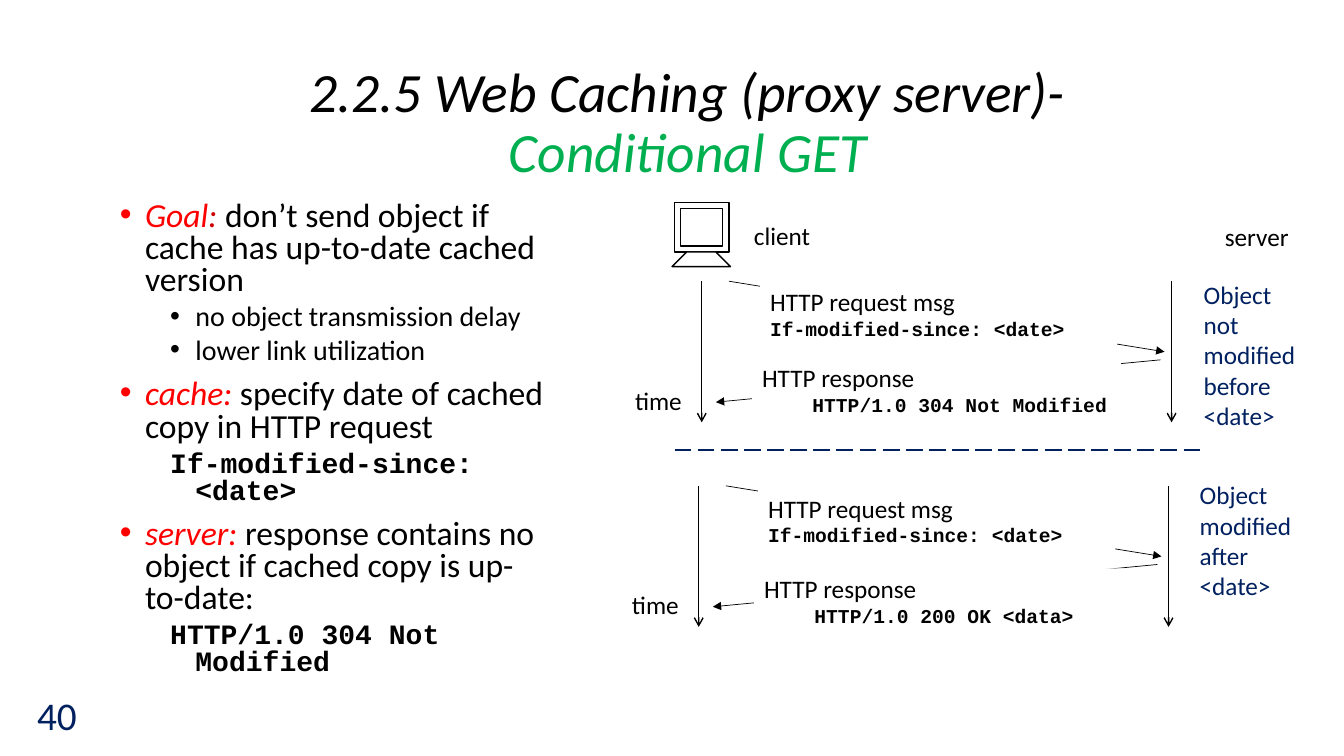
"""Builds the slide on conditional GET in web caching."""
import pptx
import pptx.util
import pptx.dml.color
import pptx.enum.dml
import pptx.enum.shapes
import pptx.enum.text
import pptx.oxml.ns
from lxml import etree

Inches = pptx.util.Inches
Pt = pptx.util.Pt
RGB = pptx.dml.color.RGBColor
Align = pptx.enum.text.PP_ALIGN
Anchor = pptx.enum.text.MSO_ANCHOR
Kind = pptx.enum.shapes.MSO_SHAPE

BLACK = RGB(0, 0, 0)
WHITE = RGB(255, 255, 255)
RED = RGB(255, 0, 0)
DARK = RGB(0xCC, 0, 0)
GREEN = RGB(0, 0xB0, 0x50)
NAVY = RGB(0, 0x20, 0x60)
SANS, MONO = "Calibri", "Courier New"

TITLE = [("2.2.5 Web Caching (proxy server)-", BLACK), ("Conditional GET", GREEN)]
POINTS = [
    ("goal", [("Goal", RED), (":", DARK),
              (" don’t send object if cache has up-to-date cached version", BLACK)]),
    ("sub", [("no object transmission delay", BLACK)]),
    ("sub", [("lower link utilization", BLACK)]),
    ("goal", [("cache: ", RED), ("specify date of cached copy in HTTP request", BLACK)]),
    ("code", [("If-modified-since: <date>", BLACK)]),
    ("goal", [("server: ", RED),
              ("response contains no object if cached copy is up-to-date:", BLACK)]),
    ("code", [("HTTP/1.0 304 Not Modified", BLACK)]),
]
STYLES = {
    "goal": dict(level=0, left=0.25, size=24, gap=10, font=SANS, bullet=True),
    "sub": dict(level=1, left=0.75, size=20, gap=5, font=SANS, bullet=True),
    "code": dict(level=1, left=0.75, size=20, gap=5, font=MONO, bullet=False),
}
LABELS = [("server", 12.05, 2.15, 0.84), ("client", 7.38, 2.14, 0.77)]
ASK = "If-modified-since: <date>"
TRIPS = [
    dict(x=6.96, y=2.79, ask=(7.54, 2.79), reply=(7.46, 3.55),
         status="HTTP/1.0 304 Not Modified",
         note=["Object not modified before <date>"], spot=(11.84, 2.72, 1.62)),
    dict(x=6.93, y=4.82, ask=(7.52, 4.84), reply=(7.48, 5.64),
         status="HTTP/1.0 200 OK <data>",
         note=["Object", "modified after", "<date>"], spot=(11.8, 4.71, 1.31)),
]

deck = pptx.Presentation()
deck.slide_width, deck.slide_height = Inches(13.33), Inches(7.5)
slide = deck.slides.add_slide(deck.slide_layouts[6])
shapes = slide.shapes


def child(node, tag, **attrs):
    return etree.SubElement(node, pptx.oxml.ns.qn(tag), **attrs)


def box(x, y, w, h, wrap=True, anchor=Anchor.TOP):
    frame = shapes.add_textbox(*map(Inches, (x, y, w, h))).text_frame
    frame.word_wrap = wrap
    frame.vertical_anchor = anchor
    return frame


def style(par, size, color=None, name=SANS, bold=False):
    font = par.font
    font.size, font.name, font.bold = Pt(size), name, bold
    if color is not None:
        font.color.rgb = color


def fill(frame, lines, color=BLACK, size=18):
    for i, line in enumerate(lines):
        par = frame.paragraphs[0] if i == 0 else frame.add_paragraph()
        par.text = line
        par.alignment = Align.LEFT
        style(par, size, color)


def solid(kind, x, y, w, h, edge=None):
    shape = shapes.add_shape(kind, *map(Inches, (x, y, w, h)))
    shape.shadow.inherit = False
    shape.fill.solid()
    shape.fill.fore_color.rgb = WHITE
    if edge is None:
        shape.line.fill.background()
    else:
        shape.line.color.rgb, shape.line.width = edge, Pt(1)
    return shape


def link(x1, y1, x2, y2, width, head=None, color=BLACK):
    line = shapes.add_connector(pptx.enum.shapes.MSO_CONNECTOR.STRAIGHT,
                                *map(Inches, (x1, y1, x2, y2)))
    line.line.color.rgb, line.line.width = color, Pt(width)
    if head:
        child(line.line._get_or_add_ln(), "a:tailEnd", type=head)
    child(line._element.spPr, "a:effectLst")
    return line


def message(spot, width, head, code, indent):
    frame = solid(Kind.RECTANGLE, *spot, width, 0.64).text_frame
    frame.word_wrap = True
    frame.vertical_anchor = Anchor.TOP
    fill(frame, [head, code])
    last = frame.paragraphs[1]
    if indent:
        last.level = 1
        last._p.get_or_add_pPr().set("marL", str(Inches(indent)))
    style(last, 14, BLACK, MONO, True)


def heading():
    par = box(1.09, 0.62, 11.46, 1.23, anchor=Anchor.MIDDLE).paragraphs[0]
    par.alignment, par.line_spacing = Align.CENTER, 0.9
    style(par, 39.6)
    par.font.italic = True
    for i, (text, color) in enumerate(TITLE):
        if i:
            par.add_line_break()
        run = par.add_run()
        run.text, run.font.color.rgb = text, color


def outline():
    frame = box(1.09, 1.95, 4.44, 5.28)
    for i, (kind, runs) in enumerate(POINTS):
        look = STYLES[kind]
        par = frame.add_paragraph() if i else frame.paragraphs[0]
        par.level, par.line_spacing = look["level"], 0.8
        if i:
            par.space_before = Pt(look["gap"])
        props = par._p.get_or_add_pPr()
        props.set("marL", str(Inches(look["left"])))
        props.set("indent", str(Inches(-0.25)))
        if look["bullet"]:
            child(props, "a:buFont", typeface="Arial")
            child(props, "a:buChar", char="•")
        else:
            child(props, "a:buNone")
        style(par, look["size"], name=look["font"], bold=kind == "code")
        for text, color in runs:
            run = par.add_run()
            run.text, run.font.color.rgb = text, color
            if color != BLACK:
                run.font.italic = True


def trip(x, y, ask, reply, status, note, spot):
    for side in (x, x + 4.66):
        link(side, y, side, y + 1.4, 1, "arrow")
    fill(box(x - 0.76, y + 0.98, 0.67, 0.4, False), ["time"])
    link(x + 0.27, y, x + 4.59, y + 0.7, 0.5, "triangle")
    link(x + 4.55, y + 0.78, x + 0.14, y + 1.2, 0.5, "triangle")
    message(ask, 3.54, "HTTP request msg", ASK, 0)
    message(reply, 3.66, "HTTP response", status, 0.5)
    left, top, high = spot
    fill(box(left, top, 1.22, high), note, NAVY)


heading()
number = box(0, 6.69, 0.86, 0.81, anchor=Anchor.MIDDLE)
fill(number, ["40"], NAVY, 28)
number.paragraphs[0].alignment = Align.RIGHT
solid(Kind.FRAME, 6.69, 2.01, 0.54, 0.49, BLACK)
solid(Kind.DIAGONAL_STRIPE, 6.75, 2.44, 0.41, 0.41, BLACK).rotation = 45
outline()
for text, left, top, wide in LABELS:
    fill(box(left, top, wide, 0.4, False), [text])
for item in TRIPS:
    trip(**item)
rule = link(6.69, 4.46, 11.92, 4.46, 1.5, color=NAVY)
rule.line.dash_style = pptx.enum.dml.MSO_LINE.LONG_DASH
deck.save("out.pptx")
